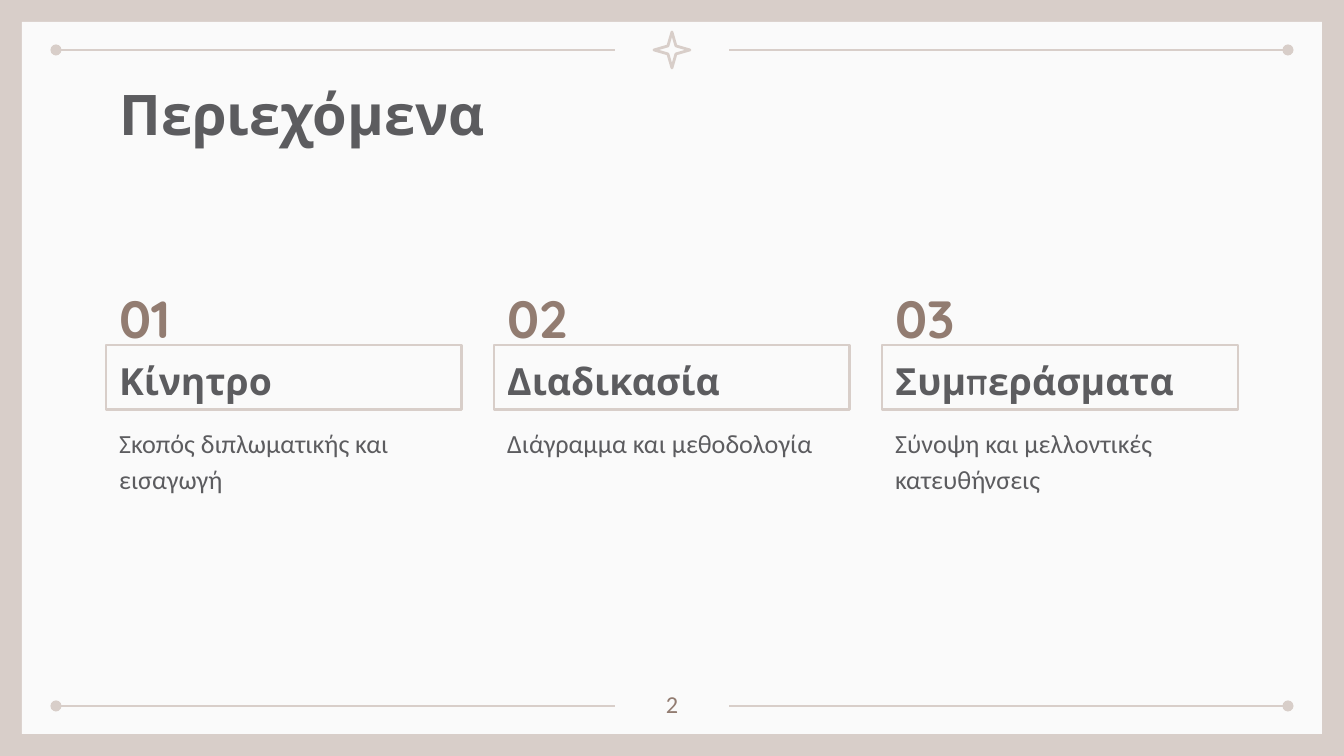
import pptx
import pptx.dml.color
import pptx.enum.shapes
import pptx.enum.text
import pptx.oxml
import pptx.oxml.ns
import pptx.util

W, H = 1344, 756
SCALE = 9144000 / W
INSET = pptx.util.Inches(0.1)
COLORS = {"frame": "D8CEC9", "panel": "FAFAFA", "text": "5C5C5F", "accent": "927C71"}
HEAD_FONT, BODY_FONT = "Quicksand", "Calibri"
SHAPE = pptx.enum.shapes.MSO_SHAPE
ANCHOR = pptx.enum.text.MSO_ANCHOR
ALIGN = pptx.enum.text.PP_ALIGN

TOPICS = [
    ("01", "Κίνητρο", "Σκοπός διπλωματικής και εισαγωγή"),
    ("02", "Διαδικασία", "Διάγραμμα και μεθοδολογία"),
    ("03", "Συμπεράσματα", "Σύνοψη και μελλοντικές κατευθήνσεις"),
]


def px(*values):
    return [pptx.util.Emu(round(v * SCALE)) for v in values]


def rgb(name):
    return pptx.dml.color.RGBColor.from_string(COLORS[name])


def write(sp, text, size, font=BODY_FONT, color="text", bold=False,
          anchor=ANCHOR.TOP, align=ALIGN.LEFT, spacing=1.0):
    """Put one formatted paragraph in a shape."""
    tf = sp.text_frame
    tf.word_wrap = True
    tf.auto_size = pptx.enum.text.MSO_AUTO_SIZE.NONE
    tf.vertical_anchor = anchor
    tf.margin_left = tf.margin_top = tf.margin_right = tf.margin_bottom = INSET
    p = tf.paragraphs[0]
    p.text = text
    p.alignment = align
    p.line_spacing = spacing
    p.font.name = font
    p.font.size = pptx.util.Pt(size)
    p.font.bold = bold
    p.font.color.rgb = rgb(color)


def add_text(s, box, text, size, **style):
    write(s.shapes.add_textbox(*px(*box)), text, size, **style)


def add_outline(s, kind, box):
    sp = s.shapes.add_shape(kind, *px(*box))
    sp.shadow.inherit = False
    sp.fill.background()
    sp.line.color.rgb = rgb("frame")
    sp.line.width = pptx.util.Pt(1.5)
    return sp


def add_rule(s, outer, inner, y):
    """Draw a line with a dot at its outer end."""
    line = s.shapes.add_connector(
        pptx.enum.shapes.MSO_CONNECTOR.STRAIGHT, *px(outer, y, inner, y))
    line.line.color.rgb = rgb("frame")
    line.line.width = pptx.util.Pt(1.5)
    ln = line.line._get_or_add_ln()
    ln.append(pptx.oxml.parse_xml(
        f'<a:headEnd {pptx.oxml.ns.nsdecls("a")} type="oval"/>'))
    line._element.spPr.append(pptx.oxml.parse_xml(
        f'<a:effectLst {pptx.oxml.ns.nsdecls("a")}/>'))


def add_frame(s, box):
    x, y, w, h = box
    s.background.fill.solid()
    s.background.fill.fore_color.rgb = rgb("frame")
    panel = s.shapes.add_shape(SHAPE.RECTANGLE, *px(*box))
    panel.shadow.inherit = False
    panel.fill.solid()
    panel.fill.fore_color.rgb = rgb("panel")
    panel.line.fill.background()
    for rule_y in (y + 28, y + h - 28):
        add_rule(s, x + 34, x + 593, rule_y)
        add_rule(s, x + w - 34, x + w - 593, rule_y)
    star = add_outline(s, SHAPE.STAR_4_POINT, (x + w / 2 - 18, y + 10, 36, 36))
    star.adjustments[0] = 0.157
    add_text(s, (x + w / 2 - 40, y + h - 58, 80, 48), "2", 13,
             color="accent", align=ALIGN.CENTER)


def add_title(s, box, text):
    sp = s.shapes.title
    sp.left, sp.top, sp.width, sp.height = px(*box)
    write(sp, text, 30, font=HEAD_FONT, bold=True)
    s.shapes._spTree.append(sp._element)  # in front of the panel


def add_topic(s, box, number, heading, summary):
    x, y, w, h = box
    head = dict(font=HEAD_FONT, bold=True, anchor=ANCHOR.MIDDLE, spacing=1.15)
    add_text(s, (x, y, 97, 65), number, 28, color="accent", **head)
    write(add_outline(s, SHAPE.RECTANGLE, (x, y + 65, w, 65)), heading, 20, **head)
    add_text(s, (x, y + 129, w, h - 129), summary, 14, spacing=1.15)


def add_topics(s, box, gap):
    x, y, w, h = box
    col_w = (w - gap * (len(TOPICS) - 1)) / len(TOPICS)
    for i, topic in enumerate(TOPICS):
        add_topic(s, (x + i * (col_w + gap), y, col_w, h), *topic)


def main():
    prs = pptx.Presentation()
    prs.slide_width, prs.slide_height = px(W, H)
    s = prs.slides.add_slide(prs.slide_layouts[5])
    add_frame(s, (22, 22, W - 44, H - 44))
    add_title(s, (106, 66, 1132, 85), "Περιεχόμενα")
    add_topics(s, (106, 280, 1132, 208), 32)
    prs.save("out.pptx")


if __name__ == "__main__":
    main()
